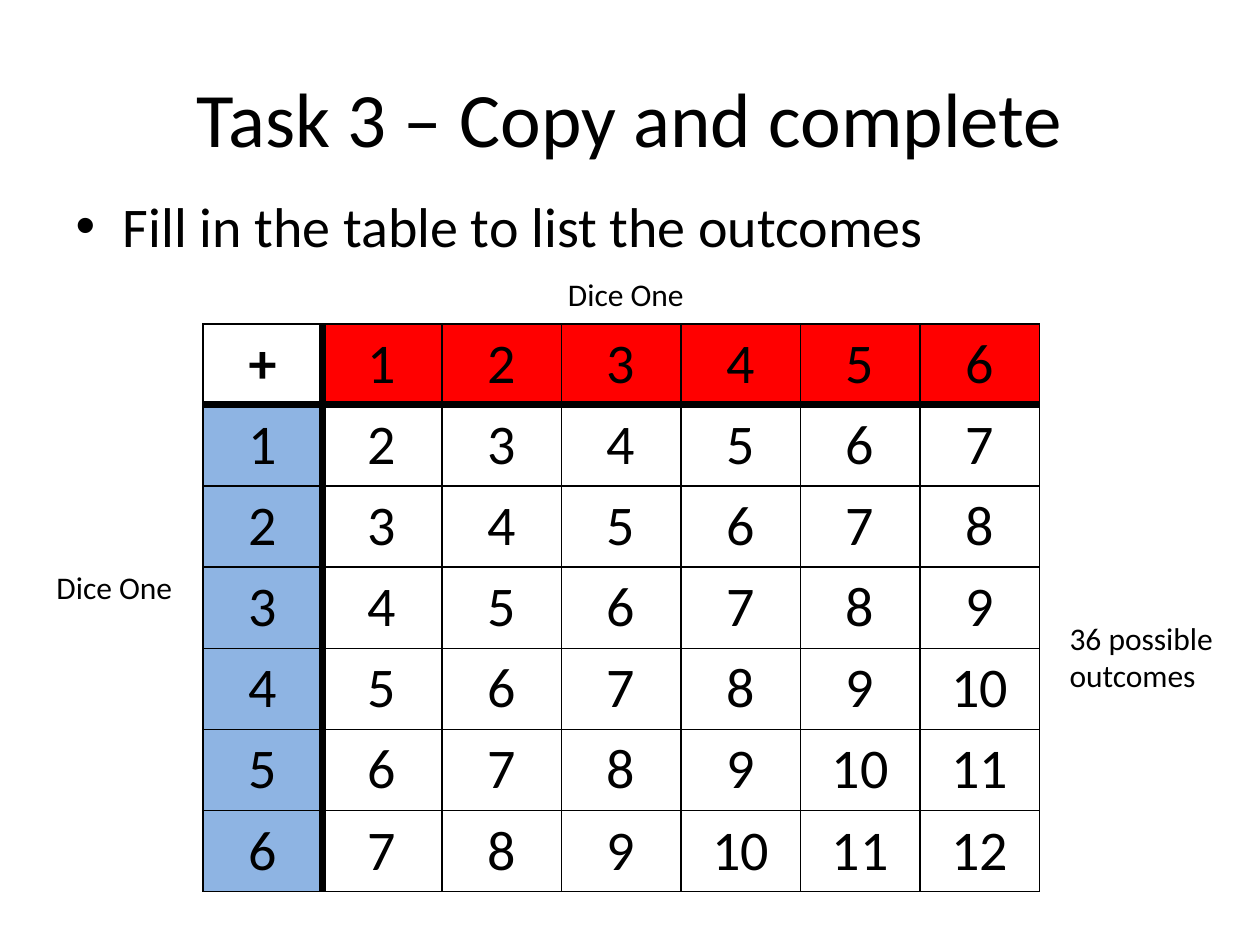
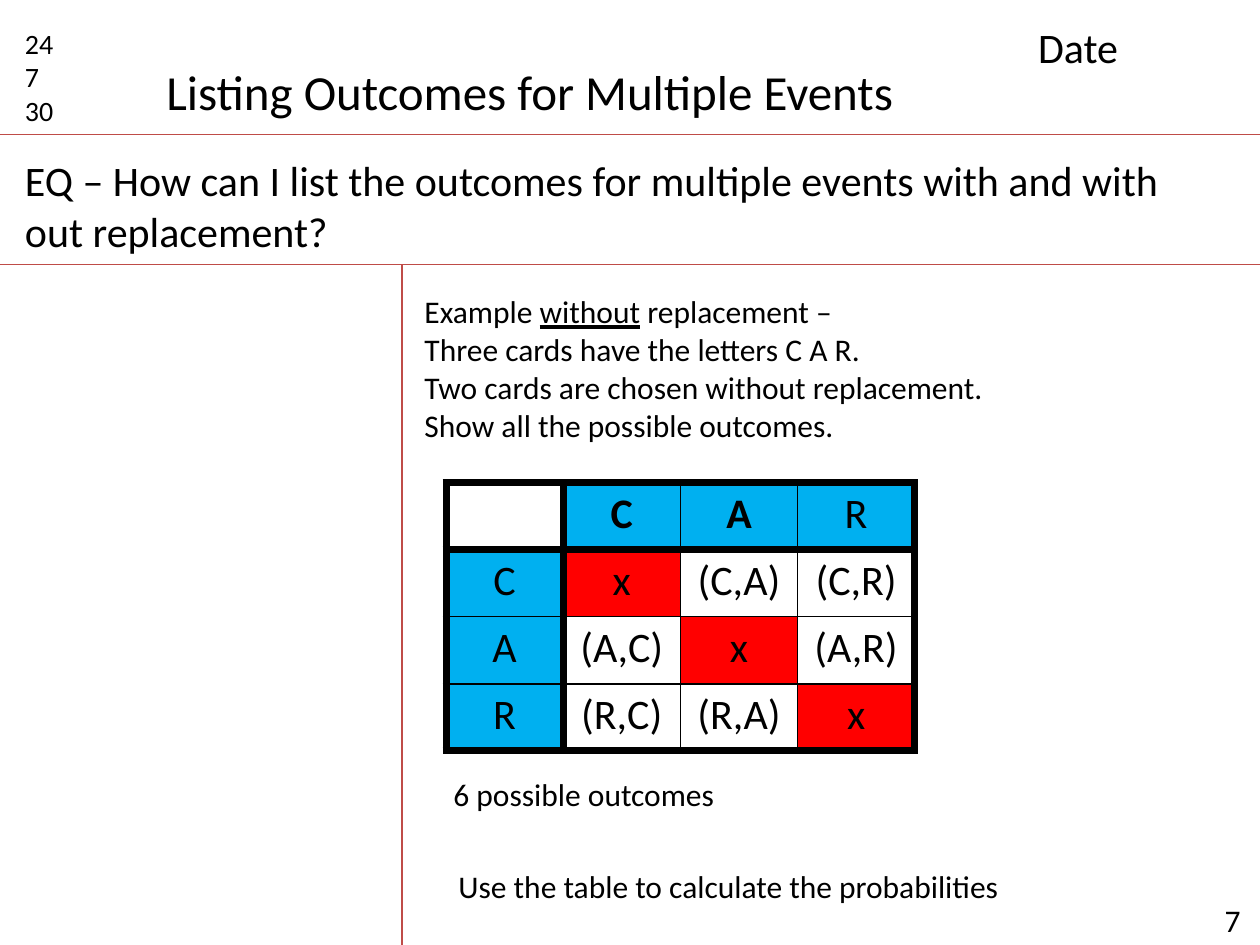
from dataclasses import dataclass

from lxml.etree import SubElement as Sub
from pptx import Presentation
from pptx.dml.color import RGBColor as Rgb
from pptx.enum.shapes import MSO_CONNECTOR as Conn
from pptx.enum.text import MSO_ANCHOR as Anchor, MSO_AUTO_SIZE as Auto, PP_ALIGN as Align
from pptx.oxml.ns import qn
from pptx.util import Inches, Pt


@dataclass(frozen=True)
class Theme:
    font: str = "Calibri"
    ink: str = "000000"
    rule: str = "BF4C48"
    red: str = "FF0000"
    pale: str = "8EB4E3"
    blue: str = "00B0F0"
    title: int = 44
    large: int = 32
    topic: int = 28
    mid: int = 24
    note: int = 18
    small: int = 16
    thin: float = 1
    thick: float = 4.5


T = Theme()


def write(frame, text, size=T.note, bold=False, align=None, anchor=None, wrap=True):
    """Fill a frame line by line; parts between underscores are underlined."""
    frame.word_wrap = wrap
    frame.auto_size = Auto.NONE
    if anchor is not None:
        frame.vertical_anchor = anchor
    for i, line in enumerate(text.split("\n")):
        para = frame.add_paragraph() if i else frame.paragraphs[0]
        para.alignment = align
        para.space_before = Pt(0)
        for j, part in enumerate(line.split("_")):
            run = para.add_run()
            run.text = part
            font = run.font
            font.name, font.size, font.bold = T.font, Pt(size), bold
            font.underline = j % 2 == 1
            font.color.rgb = Rgb.from_string(T.ink)


def place(shape, box):
    shape.left, shape.top, shape.width, shape.height = map(Inches, box)
    return shape


def label(slide, text, box, **fmt):
    write(slide.shapes.add_textbox(*map(Inches, box)).text_frame, text, **fmt)


def rule(slide, start, end):
    line = slide.shapes.add_connector(Conn.STRAIGHT, *map(Inches, start + end))
    line.line.color.rgb = Rgb.from_string(T.rule)
    line.line.width = Pt(0.75)
    Sub(line._element.spPr, qn("a:effectLst"))


def edge(cell, side, width):
    ln = Sub(cell._tc.get_or_add_tcPr(), qn(f"a:ln{side}"), w=str(Pt(width)))
    fill = Sub(ln, qn("a:solidFill"))
    Sub(fill, qn("a:srgbClr"), val=T.ink)


def grid(slide, rows, box, heavy, paint, size, bold):
    """Draw a table; heavy holds the numbers of its thick grid lines."""
    count = len(rows)
    shape = slide.shapes.add_table(count, count, *map(Inches, box))
    table = shape.table
    table.first_row = table.horz_banding = False
    for col in table.columns:
        col.width = Inches(box[2] / count)
    for row in table.rows:
        row.height = Inches(box[3] / count)
    for r, row in enumerate(rows):
        for c, text in enumerate(row):
            cell = table.cell(r, c)
            for side, at in zip("LRTB", (c, c + 1, r, r + 1)):
                edge(cell, side, T.thick if at in heavy else T.thin)
            tone = paint(r, c)
            if tone:
                cell.fill.solid()
                cell.fill.fore_color.rgb = Rgb.from_string(tone)
            else:
                cell.fill.background()
            write(cell.text_frame, text, size=size, align=Align.CENTER,
                  bold=(r, c) in bold)


# Sum table with its labels
def sums(slide, box):
    left, top, width, height = box
    dice = range(1, 7)
    rows = [["+", *map(str, dice)]]
    rows += [[str(a), *(str(a + b) for b in dice)] for a in dice]

    def paint(r, c):
        if r == 0:
            return T.red if c else None
        return None if c else T.pale

    grid(slide, rows, box, {1}, paint, T.large, {(0, 0)})
    label(slide, "Dice One", (left + 2.8, top - 0.44, 1.13, 0.4), wrap=False)
    label(slide, "Dice One", (left - 1.26, top + 1.89, 1.13, 0.4), wrap=False)
    label(slide, "36 possible outcomes", (left + width + 0.14, top + 2.29, 1.37, 0.71))


# Table of letter pairs with its notes
def pairs(slide, box):
    left, top, width, height = box
    cards = "CAR"
    rows = [["", *cards]]
    rows += [[a, *("x" if a == b else f"({a},{b})" for b in cards)] for a in cards]

    def paint(r, c):
        if r == c:
            return T.red if r else None
        return None if r and c else T.blue

    label(slide, "Example _without_ replacement –\n"
          "Three cards have the letters C A R.\n"
          "Two cards are chosen without replacement.\n"
          "Show all the possible outcomes.",
          (left - 0.27, top - 1.56, 4.69, 1.31), wrap=False)
    grid(slide, rows, box, {0, 1, 4}, paint, T.mid, {(0, 1), (0, 2)})
    base = top + height
    label(slide, "6 possible outcomes", (left - 0.04, base + 0.14, 3.39, 0.4))
    label(slide, "Use the table to calculate the probabilities",
          (left, base + 0.87, 4.6, 0.4), wrap=False)


# Note page: header, question band and margin rule
def page(slide, box):
    left, top, width, height = box
    for y in (1.07, 2.1):
        rule(slide, (left, top + y), (left + width, top + y))
    rule(slide, (left + 3.19, top + 2.1), (left + 3.19, top + height))
    label(slide, "24\n7\n30", (left + 0.1, top + 0.16, 0.63, 0.91), size=T.small)
    head = place(slide.shapes.title, (left + 1.22, top + 0.44, 6.04, 0.57))
    write(head.text_frame, "Listing Outcomes for Multiple Events", size=T.topic,
          align=Align.LEFT, anchor=Anchor.TOP, wrap=False)
    label(slide, "Date", (left + 8.14, top + 0.12, 1.73, 0.5), size=T.mid)
    label(slide, "EQ – How can I list the outcomes for multiple events "
          "with and with out replacement?",
          (left + 0.1, top + 1.18, 9.43, 0.91), size=T.mid)
    label(slide, "7", (left + width - 0.38, top + 7.1, 0.38, 0.4))


# Task page: title and bullet
def task(slide, box):
    left, top, width, height = box
    head = place(slide.shapes.title, (left, top, width, 1.25))
    write(head.text_frame, "Task 3 – Copy and complete", size=T.title,
          align=Align.CENTER, anchor=Anchor.MIDDLE)
    body = place(slide.placeholders[1], (left, top + 1.17, width, height - 1.17))
    write(body.text_frame, "Fill in the table to list the outcomes", size=T.large)


def main():
    deck = Presentation()
    deck.slide_width, deck.slide_height = Inches(10), Inches(7.5)
    first = deck.slides.add_slide(deck.slide_layouts[1])
    task(first, (0.5, 0.3, 9, 6.4))
    sums(first, (1.61, 2.57, 6.64, 4.43))
    second = deck.slides.add_slide(deck.slide_layouts[5])
    page(second, (0, 0, 10, 7.5))
    pairs(second, (3.54, 3.83, 3.72, 2.13))
    deck.save("out.pptx")


if __name__ == "__main__":
    main()
